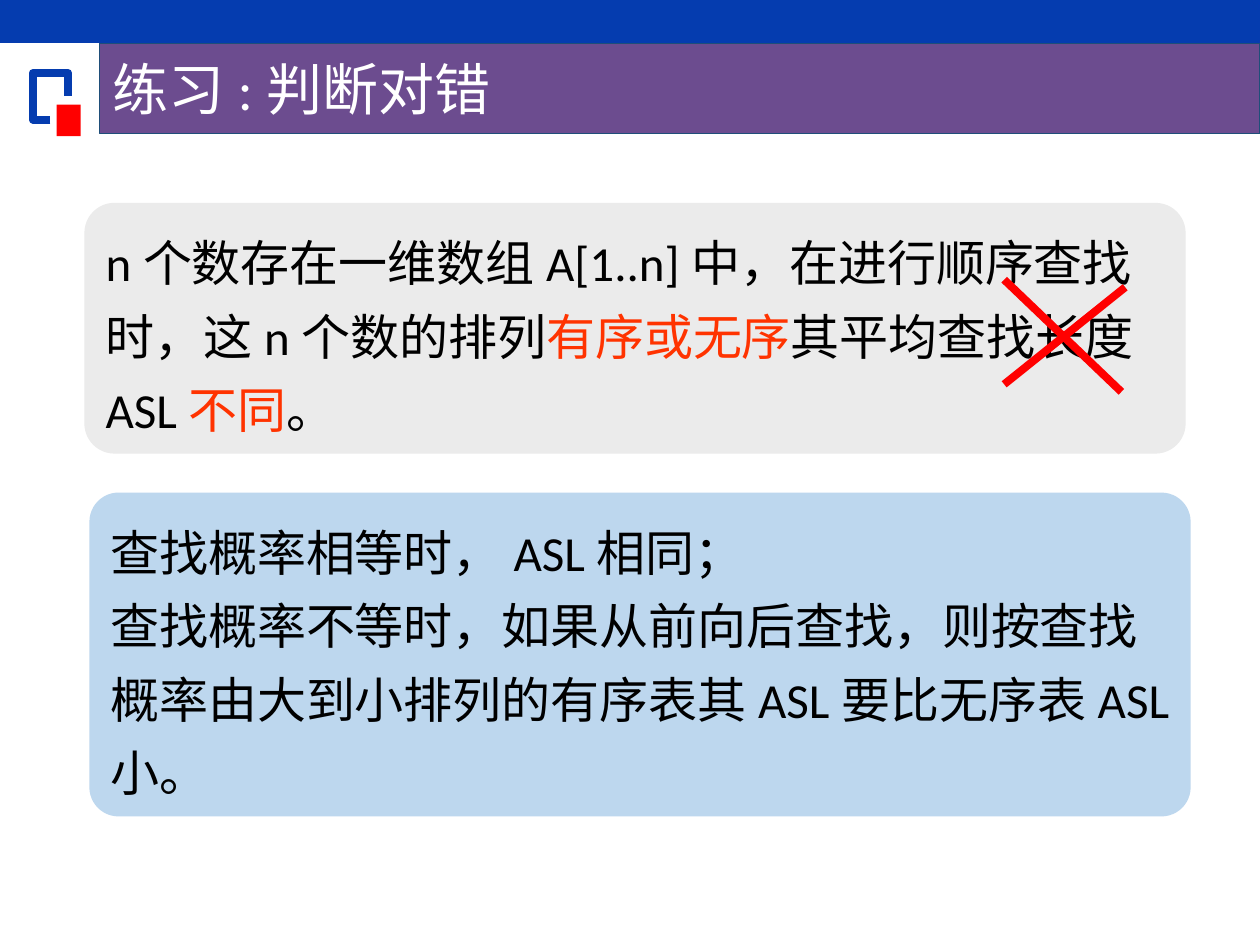
"""Build a true-or-false exercise slide on average search length."""
from pptx import Presentation
from pptx.dml.color import RGBColor
from pptx.enum.shapes import MSO_CONNECTOR, MSO_SHAPE
from pptx.enum.text import MSO_ANCHOR, MSO_AUTO_SIZE, PP_ALIGN
from pptx.oxml.ns import qn
from pptx.util import Inches, Pt
from lxml import etree

RECT, ROUND = MSO_SHAPE.RECTANGLE, MSO_SHAPE.ROUNDED_RECTANGLE
LINE = MSO_CONNECTOR.STRAIGHT
MIDDLE, LEFT = MSO_ANCHOR.MIDDLE, PP_ALIGN.LEFT
GROW, FIXED = MSO_AUTO_SIZE.SHAPE_TO_FIT_TEXT, MSO_AUTO_SIZE.NONE

BLUE = RGBColor(0x05, 0x3C, 0xAF)
RED = RGBColor(0xFF, 0x00, 0x00)
PURPLE = RGBColor(0x6C, 0x4C, 0x8F)
NAVY = RGBColor(0x1F, 0x4E, 0x79)
GRAY = RGBColor(0xEB, 0xEB, 0xEB)
SKY = RGBColor(0xBD, 0xD7, 0xEE)
ORANGE = RGBColor(0xFF, 0x33, 0x00)
BLACK = RGBColor(0x00, 0x00, 0x00)
WHITE = RGBColor(0xFF, 0xFF, 0xFF)

QUIZ = [[
    ("n个数存在一维数组A[1..n]中，在进行顺序查找时，这n个数的排列", BLACK),
    ("有序或无序", ORANGE),
    ("其平均查找长度ASL", BLACK),
    ("不同", ORANGE),
    ("。", BLACK),
]]
ANSWER = [
    [("查找概率相等时，ASL相同；", BLACK)],
    [("查找概率不等时，如果从前向后查找，则按查找概率由大到小排列的"
      "有序表其ASL要比无序表ASL小。", BLACK)],
]


def put(item, form):
    """Set each value of a format dict on an item."""
    for name, value in form.items():
        setattr(item, name, value)


def stroke(line, color, width):
    """Give a line its colour and width in points."""
    line.color.rgb = color
    line.width = Pt(width)


def paint(shape, color):
    """Fill a shape without line or shadow."""
    shape.shadow.inherit = False
    shape.fill.solid()
    shape.fill.fore_color.rgb = color
    shape.line.fill.background()


def block(slide, kind, box, color):
    """Add a filled preset shape."""
    shape = slide.shapes.add_shape(kind, *map(Inches, box))
    paint(shape, color)
    return shape


def write(frame, paras, size, fit, space):
    """Write paragraphs of coloured runs into a text frame."""
    put(frame, {"word_wrap": True, "auto_size": fit,
                "vertical_anchor": MIDDLE})
    for index, runs in enumerate(paras):
        para = frame.add_paragraph() if index else frame.paragraphs[0]
        put(para, {"alignment": LEFT, "line_spacing": space})
        for text, color in runs:
            run = para.add_run()
            run.text = text
            put(run.font, {"name": "Calibri", "size": Pt(size)})
            run.font.color.rgb = color


def head(slide, text):
    """Place and format the title bar."""
    title = slide.shapes.title
    put(title, dict(zip(("left", "top", "width", "height"),
                        map(Inches, (0.79, 0.34, 9.21, 0.72)))))
    title.fill.solid()
    title.fill.fore_color.rgb = PURPLE
    stroke(title.line, NAVY, 0.75)
    write(title.text_frame, [[(text, WHITE)]], 32, FIXED, 1.0)


def mark(slide):
    """Draw the open square and red block beside the title."""
    points = [(0.4, 0.95), (0.26, 0.95), (0.26, 0.58),
              (0.54, 0.58), (0.54, 0.76)]
    spots = [(Inches(x), Inches(y)) for x, y in points]
    pen = slide.shapes.build_freeform(*spots[0])
    pen.add_line_segments(spots[1:], close=False)
    shape = pen.convert_to_shape()
    shape.shadow.inherit = False
    shape.fill.background()
    stroke(shape.line, BLUE, 4.5)
    block(slide, RECT, (0.45, 0.83, 0.19, 0.25), RED)


def card(slide, box, color, curve, paras):
    """Add a rounded text card."""
    shape = block(slide, ROUND, box, color)
    shape.adjustments[0] = curve
    write(shape.text_frame, paras, 28, GROW, 1.25)


def cross(slide):
    """Strike the statement out with two red lines."""
    for ends in ((7.97, 2.22, 8.9, 3.11), (8.93, 2.28, 7.97, 3.05)):
        line = slide.shapes.add_connector(LINE, *map(Inches, ends))
        stroke(line.line, RED, 4.5)
        etree.SubElement(line._element.spPr, qn("a:effectLst"))


def main():
    """Build and save the slide."""
    deck = Presentation()
    put(deck, {"slide_width": Inches(10), "slide_height": Inches(7.5)})
    slide = deck.slides.add_slide(deck.slide_layouts[5])
    block(slide, RECT, (0, 0, 10, 0.34), BLUE)
    mark(slide)
    head(slide, "练习:判断对错")
    card(slide, (0.67, 1.61, 8.74, 1.99), GRAY, 0.12, QUIZ)
    card(slide, (0.71, 3.91, 8.74, 2.57), SKY, 0.09, ANSWER)
    cross(slide)
    deck.save("out.pptx")


if __name__ == "__main__":
    main()
